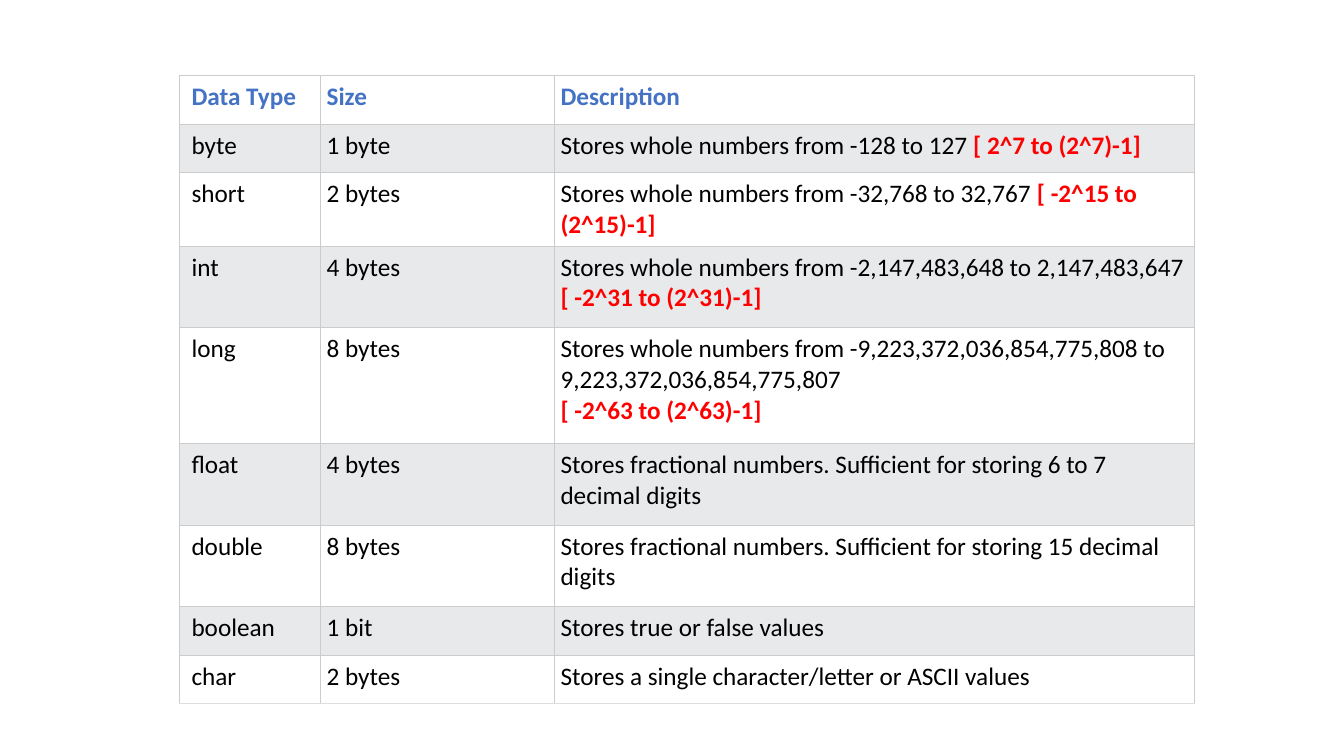
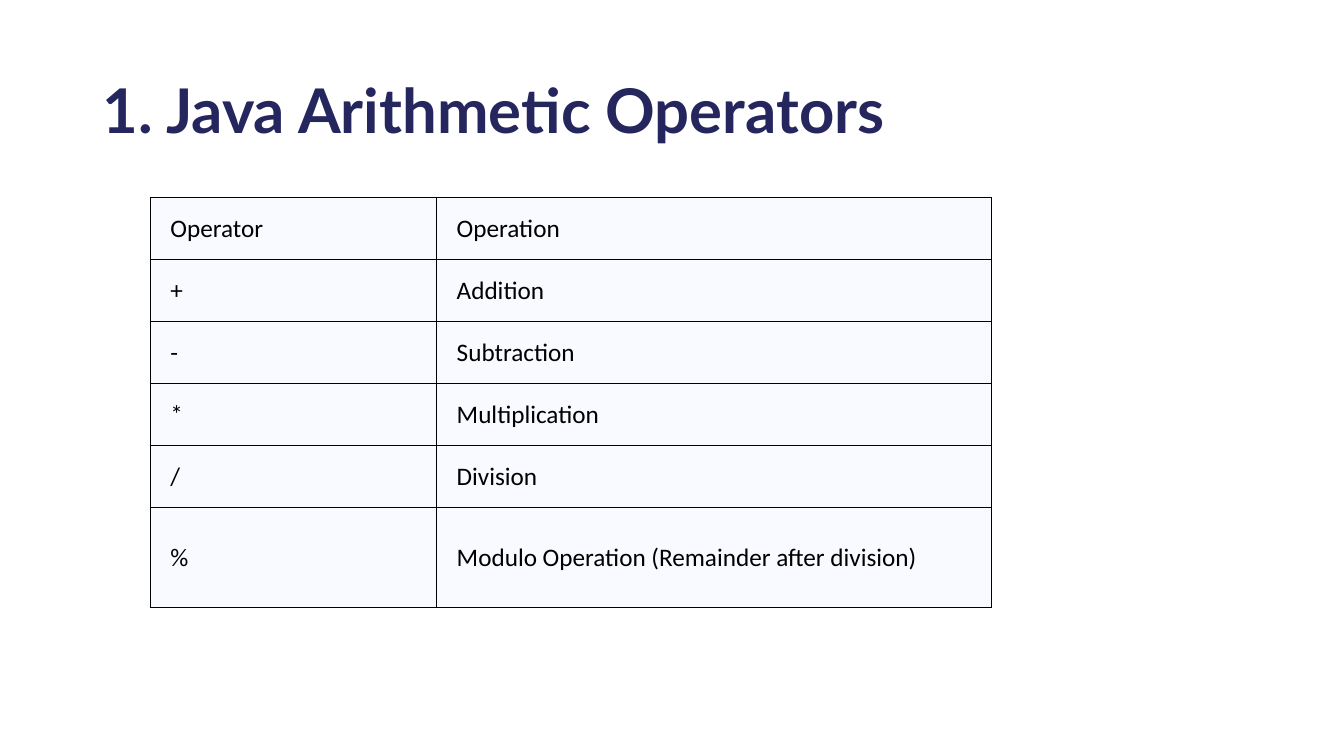
from pptx import Presentation, util as u
from pptx.dml.color import RGBColor
from pptx.enum import text
from pptx.oxml import parse_xml
from pptx.oxml.ns import nsdecls

BLACK = RGBColor(0x00, 0x00, 0x00)
WHITE = RGBColor(0xFF, 0xFF, 0xFF)
BLUE = RGBColor(0x44, 0x72, 0xC4)
RED = RGBColor(0xFF, 0x00, 0x00)
NAVY = RGBColor(0x25, 0x26, 0x5E)
BAND_GRAY = RGBColor(0xE7, 0xE9, 0xEB)
PALE_BLUE = RGBColor(0xF8, 0xFA, 0xFF)
RULE_GRAY = RGBColor(0xCC, 0xCC, 0xCC)
LAST_RULE = RGBColor(0xDD, 0xDD, 0xDD)

BODY = dict(name="Calibri", size=u.Pt(18), color=BLACK, bold=False)
HEADING = BODY | dict(color=BLUE, bold=True)
RANGE = BODY | dict(color=RED, bold=True)
TITLE = dict(name="Lato", size=u.Pt(44), color=NAVY, bold=True)

# Content: a part in square brackets is a value range, set in red
DATA_TYPES = [
    ("Data Type", "Size", "Description"),
    ("byte", "1 byte", "Stores whole numbers from -128 to 127 [ 2^7 to (2^7)-1]"),
    ("short", "2 bytes", "Stores whole numbers from -32,768 to 32,767 [ -2^15 to (2^15)-1]"),
    ("int", "4 bytes",
     "Stores whole numbers from -2,147,483,648 to 2,147,483,647 [ -2^31 to (2^31)-1]"),
    ("long", "8 bytes",
     "Stores whole numbers from -9,223,372,036,854,775,808 to 9,223,372,036,854,775,807\n"
     "[ -2^63 to (2^63)-1]"),
    ("float", "4 bytes",
     "Stores fractional numbers. Sufficient for storing 6 to 7 decimal digits"),
    ("double", "8 bytes",
     "Stores fractional numbers. Sufficient for storing 15 decimal digits"),
    ("boolean", "1 bit", "Stores true or false values"),
    ("char", "2 bytes", "Stores a single character/letter or ASCII values"),
]
OPERATORS_TITLE = "1. Java Arithmetic Operators"
OPERATORS = [
    ("Operator", "Operation"),
    ("+", "Addition"),
    ("-", "Subtraction"),
    ("*", "Multiplication"),
    ("/", "Division"),
    ("%", "Modulo Operation (Remainder after division)"),
]

# Table designs: lengths in inches, rules in points, margins left, top, right, bottom
DATA_TYPES_DESIGN = dict(
    origin=(1.78, 0.75), columns=(1.4, 2.32, 6.35),
    rows=(0.48, 0.48, 0.48, 0.81, 1.15, 0.81, 0.81, 0.48, 0.48),
    first_margins=(0.12, 0.06, 0.06, 0.06), margins=(0.06,) * 4,
    anchor=text.MSO_ANCHOR.TOP, header=HEADING, bands=(WHITE, BAND_GRAY),
    rule=RULE_GRAY, last_rule=LAST_RULE, rule_width=0.6)
OPERATORS_DESIGN = dict(
    origin=(1.49, 1.96), columns=(2.84, 5.5), rows=(0.615,) * 5 + (0.99,),
    first_margins=(0.2, 0.1, 0.2, 0.1), margins=(0.2, 0.1, 0.2, 0.1),
    anchor=text.MSO_ANCHOR.MIDDLE, header=BODY, bands=(PALE_BLUE,),
    rule=BLACK, last_rule=BLACK, rule_width=1)


def add_run(paragraph, words, style):
    run = paragraph.add_run()
    run.text = words
    for key, value in style.items():
        if key == "color":
            run.font.color.rgb = value
        else:
            setattr(run.font, key, value)


def write(frame, content, style):
    for number, line in enumerate(content.split("\n")):
        paragraph = frame.add_paragraph() if number else frame.paragraphs[0]
        plain, bracket, value_range = line.partition("[")
        if plain:
            add_run(paragraph, plain, style)
        if bracket:
            add_run(paragraph, bracket + value_range, RANGE)


def set_borders(cell, width, colors):
    properties = cell._tc.get_or_add_tcPr()
    for side, color in colors.items():
        properties.append(parse_xml(
            f'<a:ln{side} {nsdecls("a")} w="{u.Pt(width)}"><a:solidFill>'
            f'<a:srgbClr val="{color}"/></a:solidFill></a:ln{side}>'))


def add_grid(slide, content, design):
    columns, rows = design["columns"], design["rows"]
    table = slide.shapes.add_table(
        len(rows), len(columns),
        *map(u.Inches, (*design["origin"], sum(columns), sum(rows)))).table
    table.first_row = table.horz_banding = False
    for column, width in zip(table.columns, columns):
        column.width = u.Inches(width)
    for r, (row, height) in enumerate(zip(table.rows, rows)):
        row.height = u.Inches(height)
        borders = dict.fromkeys("LRTB", design["rule"])
        if r == len(rows) - 1:
            borders["B"] = design["last_rule"]
        for c, cell in enumerate(row.cells):
            margins = design["margins"] if c else design["first_margins"]
            for side, margin in zip(("left", "top", "right", "bottom"), margins):
                setattr(cell, f"margin_{side}", u.Inches(margin))
            cell.vertical_anchor = design["anchor"]
            set_borders(cell, design["rule_width"], borders)
            cell.fill.solid()
            cell.fill.fore_color.rgb = design["bands"][r % len(design["bands"])]
            write(cell.text_frame, content[r][c], BODY if r else design["header"])


def add_title(slide, content):
    frame = slide.shapes.add_textbox(
        *map(u.Inches, (0.92, 0.4, 11.5, 1.45))).text_frame
    frame.word_wrap = True
    frame.vertical_anchor = text.MSO_ANCHOR.MIDDLE
    write(frame, content, TITLE)
    frame.paragraphs[0].line_spacing = 0.9


def main():
    deck = Presentation()
    deck.slide_width, deck.slide_height = u.Inches(13.33), u.Inches(7.5)
    blank = deck.slide_layouts[6]

    # Data types
    add_grid(deck.slides.add_slide(blank), DATA_TYPES, DATA_TYPES_DESIGN)

    # Arithmetic operators
    operators = deck.slides.add_slide(blank)
    add_title(operators, OPERATORS_TITLE)
    add_grid(operators, OPERATORS, OPERATORS_DESIGN)

    deck.save("out.pptx")


if __name__ == "__main__":
    main()
